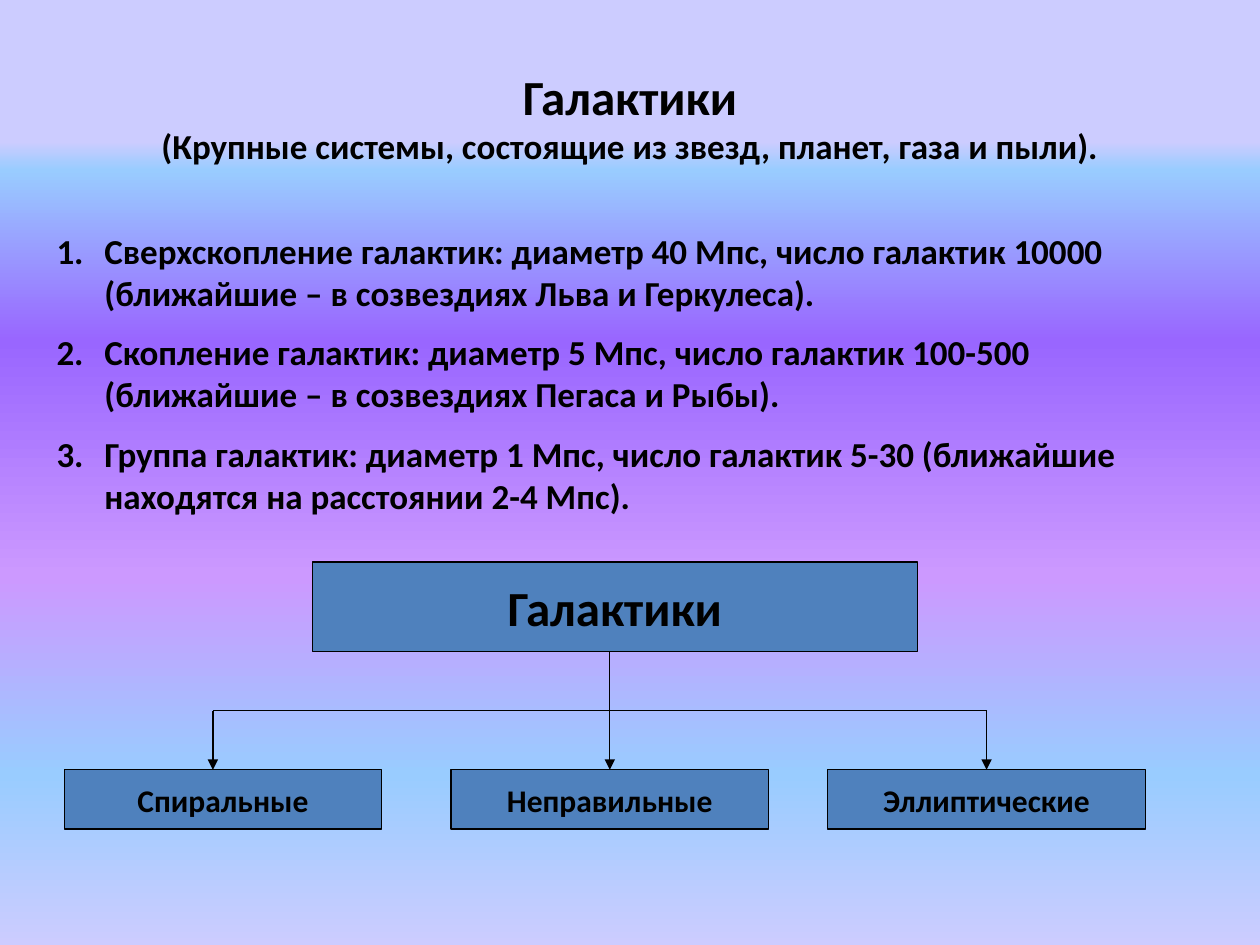
from lxml import etree
from pptx import Presentation
from pptx.dml.color import RGBColor
from pptx.enum.shapes import MSO_CONNECTOR, MSO_SHAPE
from pptx.enum.text import MSO_ANCHOR, PP_ALIGN
from pptx.oxml.ns import qn
from pptx.util import Inches, Pt

RECTANGLE = MSO_SHAPE.RECTANGLE
STRAIGHT = MSO_CONNECTOR.STRAIGHT
MIDDLE, TOP = MSO_ANCHOR.MIDDLE, MSO_ANCHOR.TOP
CENTER, LEFT = PP_ALIGN.CENTER, PP_ALIGN.LEFT

BLACK = RGBColor(0x00, 0x00, 0x00)
BLUE = RGBColor(0x4F, 0x81, 0xBD)
LAVENDER = RGBColor(0xCC, 0xCC, 0xFF)
SKY = RGBColor(0x99, 0xCC, 0xFF)
VIOLET = RGBColor(0x99, 0x66, 0xFF)
LILAC = RGBColor(0xCC, 0x99, 0xFF)

BACKGROUND_STOPS = [
    (15, LAVENDER, 84), (18, SKY, 100), (36, VIOLET, 100),
    (61, LILAC, 100), (82, SKY, 100), (100, LAVENDER, 100),
]
GROUPINGS = [
    "Сверхскопление галактик: диаметр 40 Мпс, число галактик 10000 "
    "(ближайшие – в созвездиях Льва и Геркулеса).",
    "Скопление галактик: диаметр 5 Мпс, число галактик 100-500 "
    "(ближайшие – в созвездиях Пегаса и Рыбы).",
    "Группа галактик: диаметр 1 Мпс, число галактик 5-30 "
    "(ближайшие находятся на расстоянии 2-4 Мпс).",
]
GALAXY_TYPES = [("Спиральные", 0.51), ("Неправильные", 3.58), ("Эллиптические", 6.57)]
TYPE_TOP, TYPE_WIDTH, TYPE_HEIGHT = 6.11, 2.52, 0.47
ROOT_BOTTOM, BRANCH_Y = 5.17, 5.64
SPIRAL_X, IRREGULAR_X, ELLIPTICAL_X = 1.69, 4.84, 7.83


def add_text(paragraph, text, size=20, font="Calibri", color=BLACK, bold=True):
    """Append a formatted run to a paragraph."""
    run = paragraph.add_run()
    run.text = text
    run.font.size = Pt(size)
    run.font.name = font
    run.font.bold = bold
    run.font.color.rgb = color


class GalaxySlide:
    """Hold the style and the current slide."""

    def __init__(self, slide, line_color=BLACK, fill_color=BLUE, line_width=0.75):
        self.slide = slide
        self.line_color = line_color
        self.fill_color = fill_color
        self.line_width = Pt(line_width)

    def background(self, stops):
        fill = self.slide.background.fill
        fill.gradient()
        fill.gradient_angle = 270
        stop_list = next(self.slide.element.iter(qn("a:gsLst")))
        for stop in list(stop_list):
            stop_list.remove(stop)
        for position, color, opacity in stops:
            stop = etree.SubElement(stop_list, qn("a:gs"), pos=str(position * 1000))
            shade = etree.SubElement(stop, qn("a:srgbClr"), val=str(color))
            if opacity < 100:
                etree.SubElement(shade, qn("a:alpha"), val=str(opacity * 1000))

    def text_box(self, left, top, width, height, anchor=TOP):
        shape = self.slide.shapes.add_textbox(
            Inches(left), Inches(top), Inches(width), Inches(height))
        shape.text_frame.word_wrap = True
        shape.text_frame.vertical_anchor = anchor
        return shape.text_frame

    def title(self, heading, subtitle):
        paragraph = self.text_box(0.5, 0.3, 9, 1.25, MIDDLE).paragraphs[0]
        paragraph.alignment = CENTER
        add_text(paragraph, heading, size=28)
        paragraph.add_line_break()
        add_text(paragraph, subtitle)

    def numbered_list(self, items):
        frame = self.text_box(0.35, 1.77, 9.29, 2.46)
        for index, item in enumerate(items):
            paragraph = frame.add_paragraph() if index else frame.paragraphs[0]
            paragraph.alignment = LEFT
            paragraph.space_before = Pt(10)
            add_text(paragraph, item)
            properties = paragraph._p.get_or_add_pPr()
            properties.set("marL", str(Inches(0.38)))
            properties.set("indent", str(Inches(-0.38)))
            etree.SubElement(properties, qn("a:buFont"), typeface="+mj-lt")
            etree.SubElement(properties, qn("a:buAutoNum"), type="arabicPeriod")

    def box(self, text, left, top, width, height, size):
        shape = self.slide.shapes.add_shape(
            RECTANGLE, Inches(left), Inches(top), Inches(width), Inches(height))
        shape.shadow.inherit = False
        shape.fill.solid()
        shape.fill.fore_color.rgb = self.fill_color
        shape.line.color.rgb = self.line_color
        shape.line.width = self.line_width
        shape.text_frame.word_wrap = False
        shape.text_frame.vertical_anchor = MIDDLE
        paragraph = shape.text_frame.paragraphs[0]
        paragraph.alignment = CENTER
        add_text(paragraph, text, size=size)
        return shape

    def line(self, start, end, arrow=False, target=None):
        connector = self.slide.shapes.add_connector(
            STRAIGHT, *(Inches(length) for length in (*start, *end)))
        connector.line.color.rgb = self.line_color
        connector.line.width = self.line_width
        if arrow:
            etree.SubElement(connector.line._get_or_add_ln(), qn("a:tailEnd"), type="triangle")
        etree.SubElement(connector._element.spPr, qn("a:effectLst"))
        if target is not None:
            connector.end_connect(target, 0)


def main():
    presentation = Presentation()
    presentation.slide_width = Inches(10)
    presentation.slide_height = Inches(7.5)
    page = GalaxySlide(presentation.slides.add_slide(presentation.slide_layouts[6]))

    page.background(BACKGROUND_STOPS)
    page.title("Галактики", "(Крупные системы, состоящие из звезд, планет, газа и пыли).")
    page.numbered_list(GROUPINGS)
    page.box("Галактики", 2.48, 4.46, 4.8, 0.71, size=28)
    _, irregular, elliptical = [
        page.box(name, left, TYPE_TOP, TYPE_WIDTH, TYPE_HEIGHT, size=18)
        for name, left in GALAXY_TYPES
    ]

    page.line((SPIRAL_X, BRANCH_Y), (ELLIPTICAL_X, BRANCH_Y))
    for x, top, target in [
        (IRREGULAR_X, ROOT_BOTTOM, irregular),
        (SPIRAL_X, BRANCH_Y, None),
        (ELLIPTICAL_X, BRANCH_Y, elliptical),
    ]:
        page.line((x, top), (x, TYPE_TOP), arrow=True, target=target)

    presentation.save("out.pptx")


if __name__ == "__main__":
    main()
